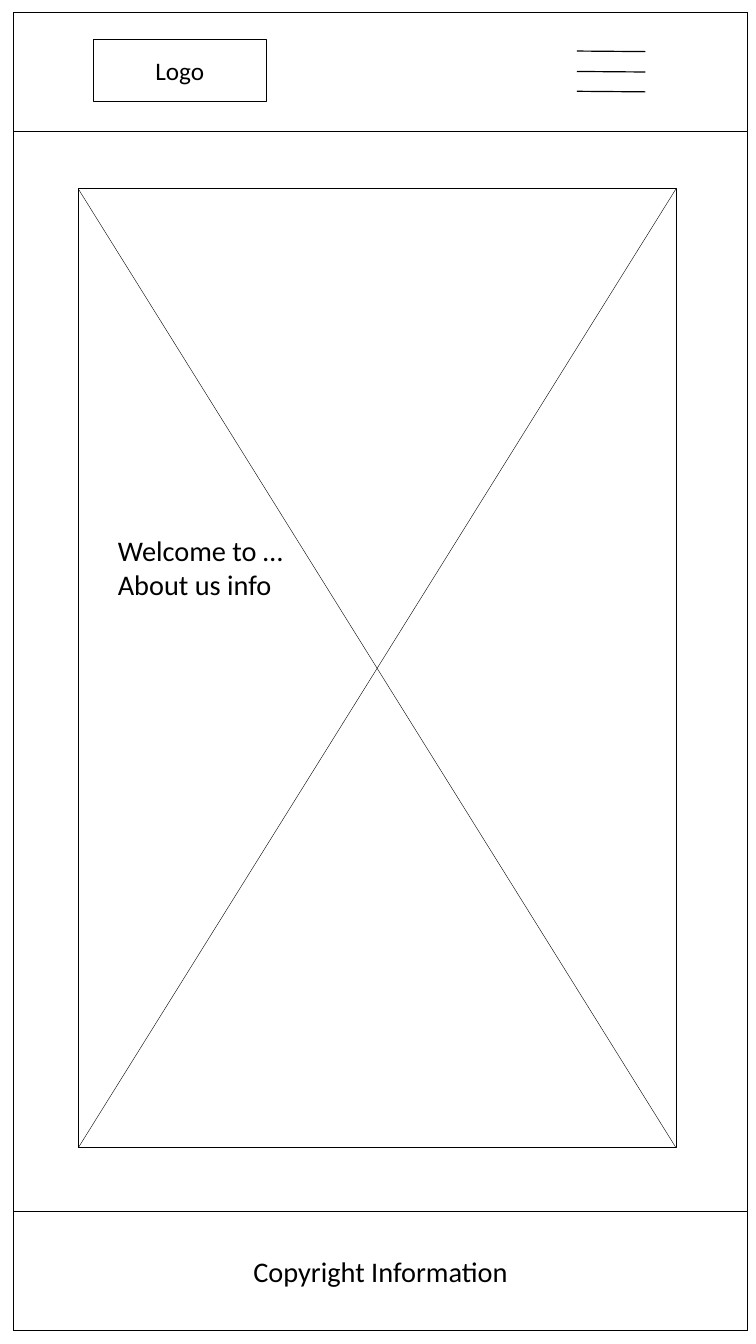
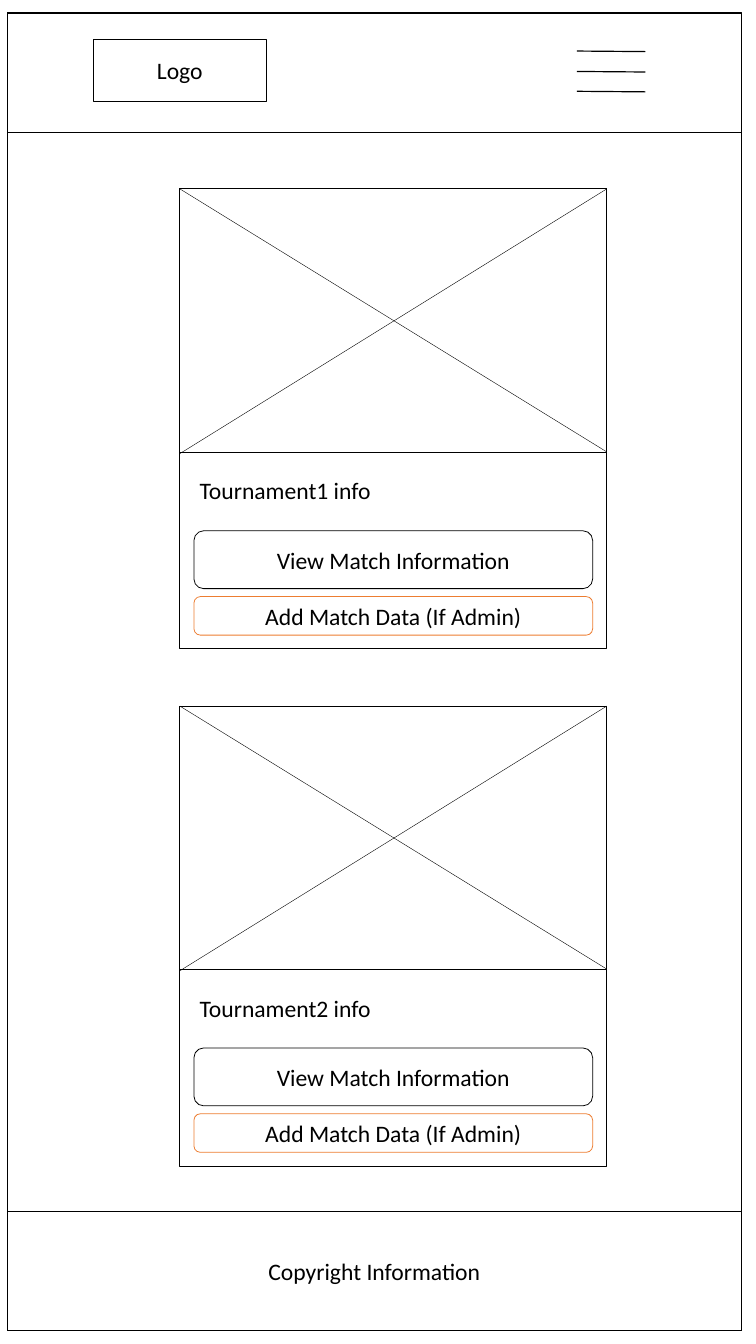
from dataclasses import dataclass

from lxml.etree import SubElement
from pptx import Presentation
from pptx.dml.color import RGBColor
from pptx.enum.shapes import MSO_CONNECTOR, MSO_SHAPE
from pptx.enum.text import MSO_ANCHOR, MSO_AUTO_SIZE, PP_ALIGN
from pptx.oxml.ns import qn
from pptx.util import Inches, Pt


@dataclass(frozen=True)
class Theme:
    """Colours, font, type sizes and line widths of the wireframes."""

    paper: RGBColor = RGBColor(0xFF, 0xFF, 0xFF)
    ink: RGBColor = RGBColor(0x00, 0x00, 0x00)
    admin: RGBColor = RGBColor(0xED, 0x7D, 0x31)
    font: str = "Calibri"
    large: int = 36
    medium: int = 32
    body: int = 30
    border: float = 1
    menu_line: float = 1.5
    cross_line: float = 0.5


class Wireframe:
    """Draws wireframe elements on the current slide."""

    def __init__(self, presentation, theme):
        """Keep the presentation and its style."""
        self.presentation = presentation
        self.theme = theme
        self.slide = None
        self.shapes = None

    def new_slide(self):
        """Start a blank slide."""
        self.slide = self.presentation.slides.add_slide(self.presentation.slide_layouts[6])
        self.shapes = self.slide.shapes

    def start_group(self):
        """Send the following elements to a new group."""
        self.shapes = self.slide.shapes.add_group_shape().shapes

    def add_runs(self, paragraph, text, size):
        """Add text run by run, with a break between lines."""
        for index, line in enumerate(text.split("\n")):
            if index:
                paragraph.add_line_break()
            run = paragraph.add_run()
            run.text = line
            run.font.name = self.theme.font
            run.font.size = Pt(size)
            run.font.color.rgb = self.theme.ink

    def box(self, left, top, width, height, text="", size=None, color=None,
            kind=MSO_SHAPE.RECTANGLE):
        """Draw an outlined box with an optional centred label."""
        shape = self.shapes.add_shape(
            kind, Inches(left), Inches(top), Inches(width), Inches(height))
        shape.shadow.inherit = False
        shape.fill.solid()
        shape.fill.fore_color.rgb = self.theme.paper
        shape.line.color.rgb = color or self.theme.ink
        shape.line.width = Pt(self.theme.border)
        if text:
            shape.text_frame.vertical_anchor = MSO_ANCHOR.MIDDLE
            paragraph = shape.text_frame.paragraphs[0]
            paragraph.alignment = PP_ALIGN.CENTER
            self.add_runs(paragraph, text, size or self.theme.body)

    def button(self, left, top, width, height, text, color=None):
        """Draw a rounded button."""
        self.box(left, top, width, height, text, color=color,
                 kind=MSO_SHAPE.ROUNDED_RECTANGLE)

    def line(self, start, end, width):
        """Draw a straight line between two points."""
        connector = self.shapes.add_connector(
            MSO_CONNECTOR.STRAIGHT, *(Inches(value) for value in (*start, *end)))
        connector.line.color.rgb = self.theme.ink
        connector.line.width = Pt(width)
        SubElement(connector.element.spPr, qn("a:effectLst"))

    def text(self, left, top, width, height, text, size, wrap=True):
        """Add a left-aligned text box that grows with its text."""
        frame = self.shapes.add_textbox(
            Inches(left), Inches(top), Inches(width), Inches(height)).text_frame
        frame.word_wrap = wrap
        frame.auto_size = MSO_AUTO_SIZE.SHAPE_TO_FIT_TEXT
        self.add_runs(frame.paragraphs[0], text, size)

    def image_area(self, left, top, width, height, overshoot=0):
        """Draw a crossed box; the rising diagonal may start lower."""
        self.box(left, top, width, height)
        right, bottom = left + width, top + height
        self.line((left, bottom + overshoot), (right, top), self.theme.cross_line)
        self.line((left, top), (right, bottom), self.theme.cross_line)

    def page(self, left, header_top, logo_size, footer_size):
        """Draw the frame, header, footer, logo box and menu icon."""
        width, band = 12.94, 2.1
        self.box(left, 0.22, width, 23.24)
        self.box(left, header_top, width, band)
        self.box(left, 21.36, width, band, "Copyright Information", footer_size)
        self.box(1.64, 0.7, 3.06, 1.08, "Logo", logo_size)
        for top in (0.9, 1.26, 1.61):
            self.line((10.17, top), (11.38, top + 0.01), self.theme.menu_line)

    def tournament_card(self, top, title):
        """Draw one tournament card with its image area and buttons."""
        left, width, inner_left, inner_width = 3.17, 7.53, 3.42, 7.03
        self.start_group()
        self.box(left, top, width, 8.11)
        self.image_area(left, top, width, 4.64, overshoot=0.03)
        self.text(inner_left, top + 5.02, 7.64, 0.61, title, self.theme.body)
        self.button(inner_left, top + 6.03, inner_width, 1.02, "View Match Information")
        self.button(inner_left, top + 7.19, inner_width, 0.68,
                    "Add Match Data (If Admin)", self.theme.admin)


def build_home(wireframe):
    """Build the welcome page."""
    theme = wireframe.theme
    wireframe.new_slide()
    wireframe.page(0.24, 0.22, theme.medium, theme.large)
    wireframe.start_group()
    wireframe.image_area(1.38, 3.33, 10.54, 16.91)
    wireframe.text(1.98, 9.36, 3.14, 1.31, "Welcome to …\nAbout us info",
                   theme.large, wrap=False)


def build_tournaments(wireframe):
    """Build the page that lists the tournaments."""
    theme = wireframe.theme
    wireframe.new_slide()
    wireframe.page(0.13, 0.23, theme.body, theme.body)
    for index in range(2):
        wireframe.tournament_card(3.33 + index * 9.12, f"Tournament{index + 1} info")


def main():
    """Build and save the presentation."""
    presentation = Presentation()
    presentation.slide_width = Inches(13.33)
    presentation.slide_height = Inches(23.7)
    wireframe = Wireframe(presentation, Theme())
    build_home(wireframe)
    build_tournaments(wireframe)
    presentation.save("out.pptx")


main()
